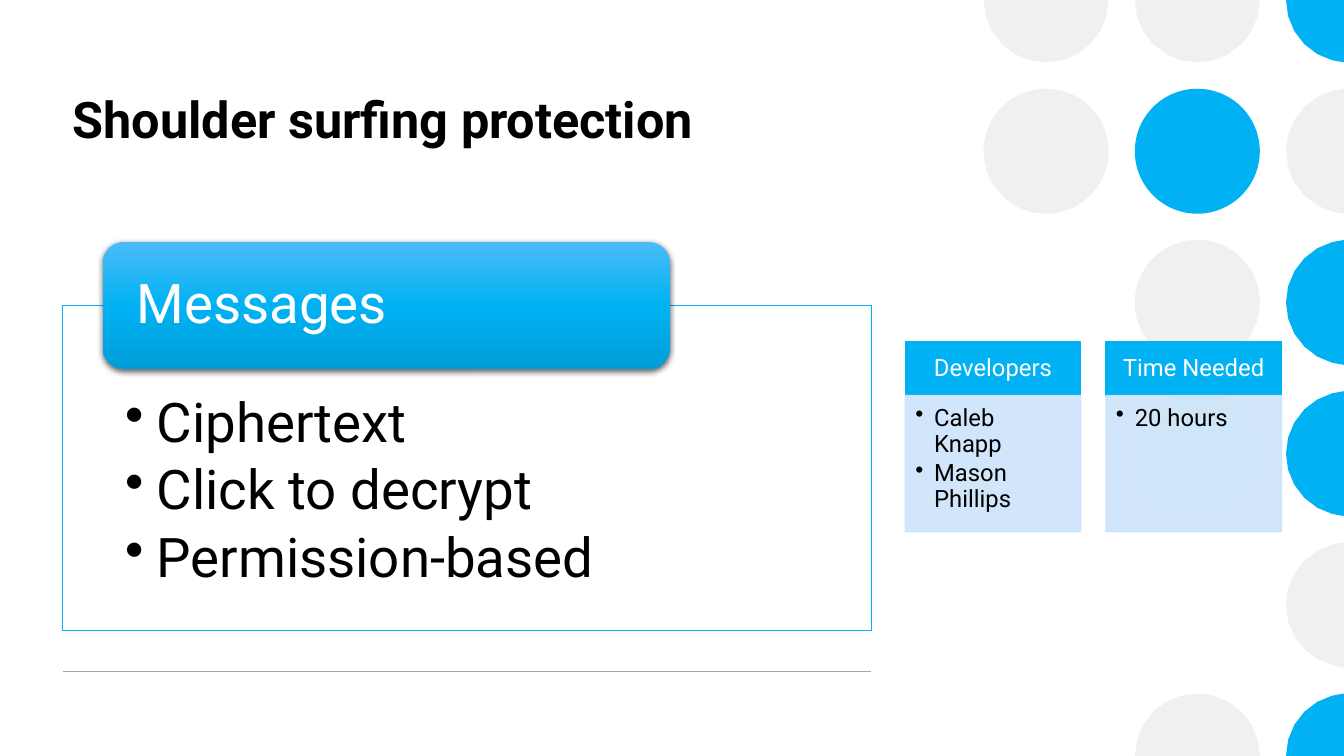
from copy import deepcopy
from math import cos, sin, radians

from lxml.etree import SubElement
from pptx import Presentation
from pptx.dml.color import RGBColor
from pptx.enum.shapes import MSO_CONNECTOR, MSO_SHAPE
from pptx.enum.text import MSO_ANCHOR, PP_ALIGN
from pptx.oxml.ns import qn
from pptx.util import Inches, Pt

BLUE = RGBColor(0x00, 0xB2, 0xF3)
LIGHT_BLUE = RGBColor(0x4B, 0xBB, 0xF8)
DARK_BLUE = RGBColor(0x00, 0x9E, 0xD8)
PALE_BLUE = RGBColor(0xCC, 0xE4, 0xFA)
PALE_GRAY = RGBColor(0xEF, 0xF0, 0xEF)
RULE_GRAY = RGBColor(0xA6, 0xA6, 0xA6)
WHITE = RGBColor(0xFF, 0xFF, 0xFF)
BLACK = RGBColor(0x00, 0x00, 0x00)
FONT = "Roboto"

SLIDE_WIDTH, SLIDE_HEIGHT = Inches(13.33), Inches(7.5)
COLUMNS, ROWS = 64, 36
UNIT = SLIDE_HEIGHT / ROWS

LEFT, CONTENT_WIDTH = 2.98, 38.5
CARD_LEFT, CARD_STEP, CARD_WIDTH = 43.1, 9.55, 8.35
CARD_TOP, CARD_HEAD, CARD_BODY = 16.27, 2.57, 6.48

DOT_SIZE, DOT_PITCH, FIRST_DOT = 5.95, 7.2, 49.8
EDGE_TOLERANCE = 0.3
# One string per row: G gray, B blue, a dot for an empty place.
DOT_ROWS = ["GGB", "GBG", ".GB", ".GB", "..G", ".GB"]
DOT_COLORS = {"G": PALE_GRAY, "B": BLUE}

CARDS = [
    ("Developers", ["Caleb Knapp", "Mason Phillips"]),
    ("Time Needed", ["20 hours"]),
]


def grid(*cells):
    """Turn grid cells into slide lengths."""
    return [round(cell * UNIT) for cell in cells]


def set_alpha(color_parent, percent):
    color = next(color_parent.iter(qn("a:srgbClr")))
    SubElement(color, qn("a:alpha"), val=str(percent * 1000))


def paint(shape, fill):
    """Give a shape a plain fill, without line or shadow."""
    shape.shadow.inherit = False
    shape.fill.solid()
    shape.fill.fore_color.rgb = fill
    shape.line.fill.background()


def add_box(page, kind, cells, fill, line=None, weight=1):
    box = page.shapes.add_shape(kind, *grid(*cells))
    paint(box, fill)
    if line is not None:
        box.line.color.rgb = line
        box.line.width = Pt(weight)
    return box


def write(box, lines, size, color, insets, anchor=MSO_ANCHOR.TOP,
          align=PP_ALIGN.LEFT, bold=False, hang=0):
    """Fill a box with paragraphs; a hang width makes them bullets."""
    frame = box.text_frame
    frame.word_wrap = True
    frame.vertical_anchor = anchor
    (frame.margin_left, frame.margin_top,
     frame.margin_right, frame.margin_bottom) = grid(*insets)
    frame.text = "\n".join(lines)
    for para in frame.paragraphs:
        para.alignment = align
        para.line_spacing = 0.9
        for span in para.runs:
            span.font.name = FONT
            span.font.size = Pt(size)
            span.font.bold = bold
            span.font.color.rgb = color
        if hang:
            para.space_after = Pt(round(size * 0.16, 1))
            add_bullet(para, *grid(hang))


def add_bullet(para, hang):
    properties = para._p.get_or_add_pPr()
    properties.set("marL", str(hang))
    properties.set("indent", str(-hang))
    SubElement(properties, qn("a:buChar"), char="•")


def clamp(x, y):
    return min(x, COLUMNS), min(max(y, 0), ROWS)


def add_cut_dot(page, center_x, center_y, color):
    """Draw the part of a dot that lies inside the slide's edges."""
    points = []
    for angle in range(0, 361, 15):
        x = center_x + DOT_SIZE / 2 * cos(radians(angle))
        y = center_y + DOT_SIZE / 2 * sin(radians(angle))
        inside_x, inside_y = clamp(x, y)
        if abs(x - inside_x) + abs(y - inside_y) < EDGE_TOLERANCE:
            points.append(grid(inside_x, inside_y))
    points.append(grid(*clamp(center_x, center_y)))
    builder = page.shapes.build_freeform(*points[0])
    builder.add_line_segments(points[1:], close=True)
    paint(builder.convert_to_shape(), color)


def add_dot(page, center_x, center_y, color):
    radius = DOT_SIZE / 2
    if center_x + radius <= COLUMNS and radius <= center_y <= ROWS - radius:
        add_box(page, MSO_SHAPE.OVAL,
                (center_x - radius, center_y - radius, DOT_SIZE, DOT_SIZE), color)
    else:
        add_cut_dot(page, center_x, center_y, color)


def add_dots(page):
    for row, marks in enumerate(DOT_ROWS):
        for column, mark in enumerate(marks):
            if mark in DOT_COLORS:
                add_dot(page, FIRST_DOT + column * DOT_PITCH,
                        row * DOT_PITCH, DOT_COLORS[mark])


def add_rule(page, row):
    rule = page.shapes.add_connector(
        MSO_CONNECTOR.STRAIGHT, *grid(LEFT, row, LEFT + CONTENT_WIDTH, row))
    rule.line.color.rgb = RULE_GRAY
    rule.line.width = Pt(1)
    SubElement(rule._element.spPr, qn("a:effectLst"))


def add_title(page, text):
    box = page.shapes.add_textbox(*grid(LEFT, 4.03, CONTENT_WIDTH, 6.67))
    write(box, [text], 36, BLACK, (0.48, 0.48, 0.48, 0.24), bold=True)


def shade(box, colors):
    """Give a box an even top-to-bottom gradient."""
    box.fill.gradient()
    box.fill.gradient_angle = 270
    stop_list = next(box._element.spPr.iter(qn("a:gsLst")))
    while len(stop_list) < len(colors):
        stop_list.append(deepcopy(stop_list[0]))
    for index, (stop, color) in enumerate(zip(box.fill.gradient_stops, colors)):
        stop.color.rgb = color
        stop.position = index / (len(colors) - 1)


def add_shadow(box):
    effects = box._element.spPr.find(qn("a:effectLst"))
    shadow = SubElement(effects, qn("a:outerShdw"), blurRad=str(int(Pt(4.5))),
                        dist=str(int(Pt(1.5))), dir="5400000", rotWithShape="0")
    SubElement(shadow, qn("a:srgbClr"), val=str(BLACK))
    set_alpha(shadow, 63)


def add_feature(page, heading, points):
    panel = add_box(page, MSO_SHAPE.RECTANGLE,
                    (LEFT, 14.54, CONTENT_WIDTH, 15.46), WHITE, BLUE, 0.5)
    set_alpha(panel._element.spPr.find(qn("a:solidFill")), 90)
    write(panel, points, 39, BLACK, (2.98, 4.27, 2.98, 1.44), hang=1.5)
    header = add_box(page, MSO_SHAPE.ROUNDED_RECTANGLE,
                     (4.9, 11.52, 26.98, 6.05), BLUE)
    shade(header, [LIGHT_BLUE, BLUE, DARK_BLUE])
    add_shadow(header)
    write(header, [heading], 39, WHITE, (1.3, 0, 1.3, 0), MSO_ANCHOR.MIDDLE)


def add_card(page, left, heading, items):
    head = add_box(page, MSO_SHAPE.RECTANGLE,
                   (left, CARD_TOP, CARD_WIDTH, CARD_HEAD), BLUE, BLUE)
    write(head, [heading], 17, WHITE, (0.62, 0.38, 0.62, 0.38),
          MSO_ANCHOR.MIDDLE, PP_ALIGN.CENTER)
    body = add_box(page, MSO_SHAPE.RECTANGLE,
                   (left, CARD_TOP + CARD_HEAD, CARD_WIDTH, CARD_BODY),
                   PALE_BLUE, PALE_BLUE)
    for part in ("a:solidFill", "a:ln"):
        set_alpha(body._element.spPr.find(qn(part)), 90)
    write(body, items, 17, BLACK, (0.48, 0.48, 0.62, 0.72), hang=0.9)


def main():
    deck = Presentation()
    deck.slide_width, deck.slide_height = SLIDE_WIDTH, SLIDE_HEIGHT
    page = deck.slides.add_slide(deck.slide_layouts[6])
    add_dots(page)
    add_rule(page, 31.97)
    add_title(page, "Shoulder surfing protection")
    add_feature(page, "Messages",
                ["Ciphertext", "Click to decrypt", "Permission-based"])
    for index, (heading, items) in enumerate(CARDS):
        add_card(page, CARD_LEFT + index * CARD_STEP, heading, items)
    deck.save("out.pptx")


if __name__ == "__main__":
    main()
